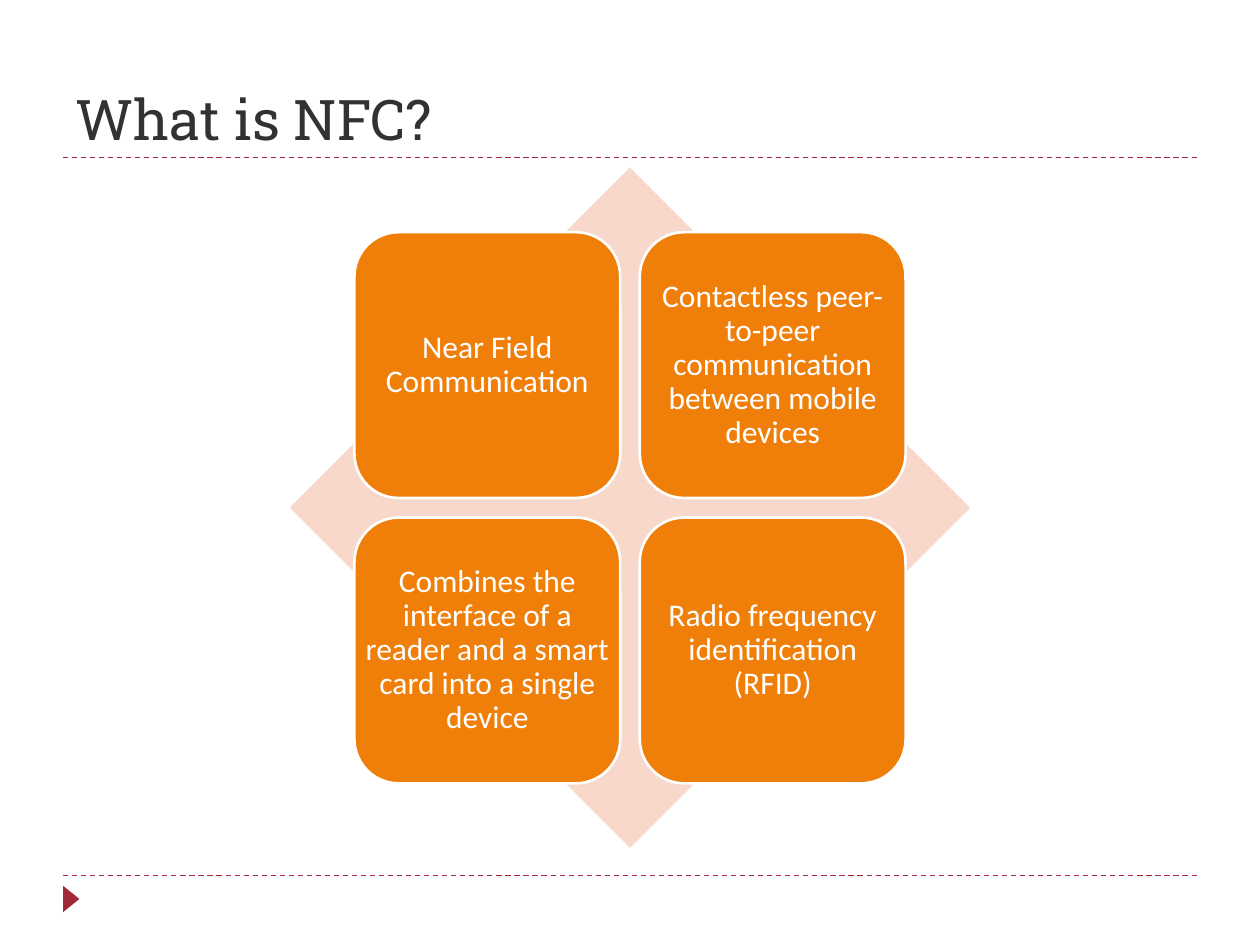
import pptx
import pptx.util
import pptx.dml.color
import pptx.enum.dml
import pptx.enum.shapes
import pptx.enum.text
import pptx.oxml.ns
import lxml.etree

Inches = pptx.util.Inches
Pt = pptx.util.Pt
SHAPES = pptx.enum.shapes.MSO_SHAPE
ANCHOR = pptx.enum.text.MSO_ANCHOR
ALIGN = pptx.enum.text.PP_ALIGN

WIDTH, HEIGHT = 10, 7.5
MARGIN = 0.05 * WIDTH
COLORS = {"accent": "9F2936", "title": "323232", "diamond": "F9D8CC",
          "card": "F07F09", "white": "FFFFFF"}

DIAMOND_SIZE = 5.4
DIAMOND_LEFT = (WIDTH - DIAMOND_SIZE) / 2
DIAMOND_TOP = 1.33
CARD_SIZE = 2.11
CARD_STEP = 2.265
COLUMNS = 2
CARDS = [
    "Near Field Communication",
    "Contactless peer-to-peer communication between mobile devices",
    "Combines the interface of a reader and a smart card into a single device",
    "Radio frequency identification (RFID)",
]


def color(name):
    """Return the named colour of the palette."""
    return pptx.dml.color.RGBColor.from_string(COLORS[name])


def add_rule(page, y):
    """Draw a dashed line from margin to margin."""
    rule = page.shapes.add_connector(
        pptx.enum.shapes.MSO_CONNECTOR.STRAIGHT,
        Inches(MARGIN), Inches(y), Inches(WIDTH - MARGIN), Inches(y))
    rule.line.color.rgb = color("accent")
    rule.line.width = Pt(0.75)
    rule.line.dash_style = pptx.enum.dml.MSO_LINE.DASH
    lxml.etree.SubElement(rule._element.spPr,
                          pptx.oxml.ns.qn("a:effectLst"))


def add_figure(page, kind, left, top, width, height, fill, outline=None):
    """Add a flat preset shape, with an outline if one is named."""
    figure = page.shapes.add_shape(kind, Inches(left), Inches(top),
                                   Inches(width), Inches(height))
    figure.shadow.inherit = False
    figure.fill.solid()
    figure.fill.fore_color.rgb = color(fill)
    if outline:
        figure.line.color.rgb = color(outline)
        figure.line.width = Pt(1.5)
    else:
        figure.line.fill.background()
    return figure


def add_text(page, text, left, top, width, height, font, size, ink, anchor):
    """Add a wrapped text box and return its frame."""
    box = page.shapes.add_textbox(Inches(left), Inches(top),
                                  Inches(width), Inches(height))
    frame = box.text_frame
    frame.word_wrap = True
    frame.vertical_anchor = anchor
    frame.text = text
    span = frame.paragraphs[0].runs[0]
    span.font.name = font
    span.font.size = Pt(size)
    span.font.color.rgb = color(ink)
    return frame


def add_card(page, text, column, row):
    """Add one rounded card with centred text at its grid cell."""
    inset = (DIAMOND_SIZE - CARD_STEP - CARD_SIZE) / 2
    area = (DIAMOND_LEFT + inset + column * CARD_STEP,
            DIAMOND_TOP + inset + row * CARD_STEP, CARD_SIZE, CARD_SIZE)
    add_figure(page, SHAPES.ROUNDED_RECTANGLE, *area, "card", "white")
    frame = add_text(page, text, *area, "Calibri", 18, "white", ANCHOR.MIDDLE)
    frame.margin_left = frame.margin_right = Inches(0.07)
    frame.margin_top = frame.margin_bottom = Inches(0.07)
    frame.paragraphs[0].alignment = ALIGN.CENTER
    frame.paragraphs[0].line_spacing = 0.9


def main():
    """Build the slide and save it."""
    deck = pptx.Presentation()
    deck.slide_width, deck.slide_height = Inches(WIDTH), Inches(HEIGHT)
    page = deck.slides.add_slide(deck.slide_layouts[6])

    for y in (6.95, 1.25):
        add_rule(page, y)
    marker = add_figure(page, SHAPES.ISOSCELES_TRIANGLE,
                        0.46, 7.07, 0.21, 0.13, "accent")
    marker.rotation = 90
    add_text(page, "What is NFC?", MARGIN, 0.17, WIDTH - 2 * MARGIN, 1.08,
             "Roboto Slab", 32, "title", ANCHOR.BOTTOM)

    add_figure(page, SHAPES.DIAMOND, DIAMOND_LEFT, DIAMOND_TOP,
               DIAMOND_SIZE, DIAMOND_SIZE, "diamond")
    for index, text in enumerate(CARDS):
        row, column = divmod(index, COLUMNS)
        add_card(page, text, column, row)

    deck.save("out.pptx")


main()
